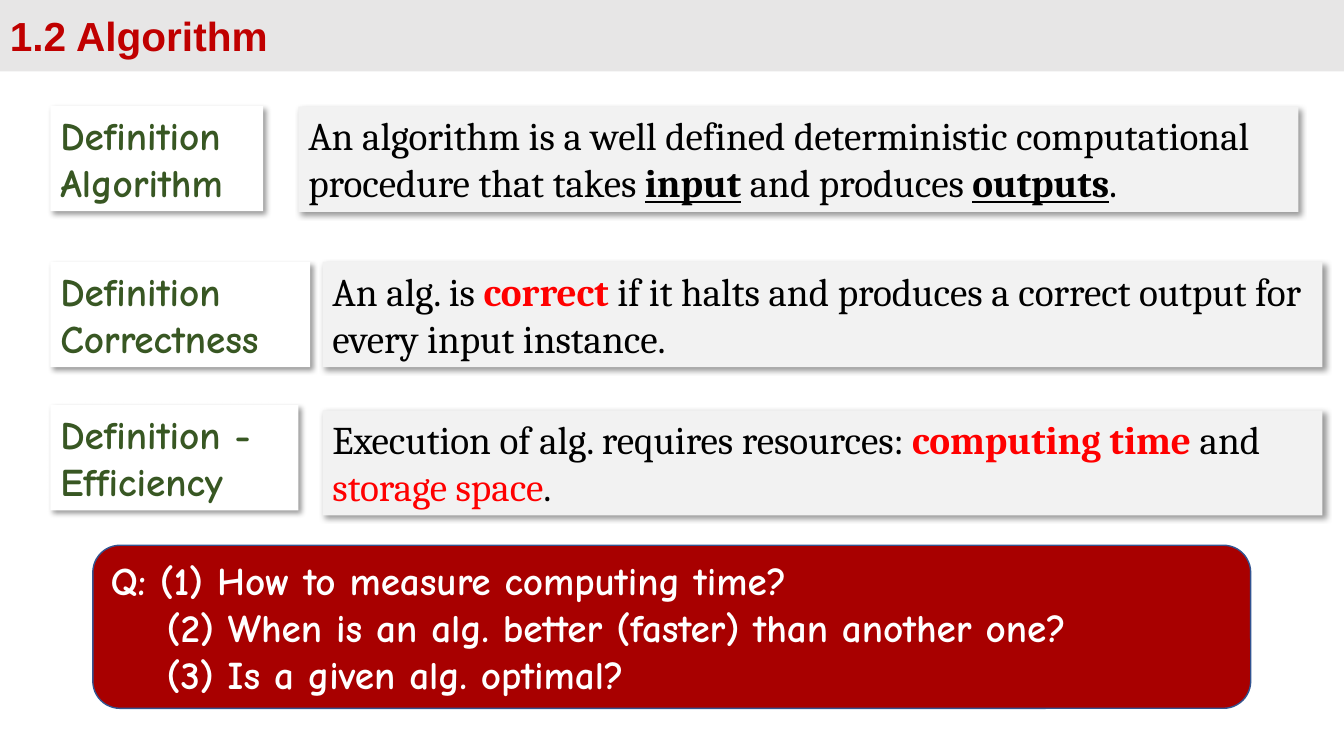
from dataclasses import dataclass

from lxml.etree import SubElement
from pptx import Presentation
from pptx.dml.color import RGBColor
from pptx.enum.shapes import MSO_SHAPE
from pptx.enum.text import MSO_ANCHOR, MSO_AUTO_SIZE, PP_ALIGN
from pptx.oxml.ns import qn
from pptx.shapes.autoshape import Shape
from pptx.slide import Slide
from pptx.util import Cm, Pt


@dataclass(frozen=True)
class Theme:
    banner: str = "E7E6E6"
    heading: str = "C00000"
    paper: str = "FFFFFF"
    panel: str = "F2F2F2"
    term: str = "385723"
    body: str = "000000"
    accent: str = "FF0000"
    question: str = "A80000"
    outline: str = "325491"
    heading_font: str = "Arial"
    term_font: str = "Comic Neue"
    body_font: str = "Cambria"
    heading_size: int = 29
    text_size: int = 28


THEME = Theme()


@dataclass(frozen=True)
class Box:
    left: float
    top: float
    width: float
    height: float


@dataclass(frozen=True)
class Style:
    font: str
    color: str
    size: int = THEME.text_size
    bold: bool = False
    underline: bool = False


HEADING = Style(THEME.heading_font, THEME.heading, THEME.heading_size, bold=True)
TERM = Style(THEME.term_font, THEME.term, bold=True)
QUESTION = Style(THEME.term_font, THEME.paper, bold=True)
BODY = Style(THEME.body_font, THEME.body)
KEYWORD = Style(THEME.body_font, THEME.body, bold=True, underline=True)
ACCENT = Style(THEME.body_font, THEME.accent)
STRONG_ACCENT = Style(THEME.body_font, THEME.accent, bold=True)


@dataclass(frozen=True)
class Span:
    text: str
    style: Style = BODY


@dataclass(frozen=True)
class Line:
    spans: tuple[Span, ...]
    indent: float = 0


@dataclass(frozen=True)
class Definition:
    term_lines: tuple[str, ...]
    term_top: float
    term_width: float
    statement_left: float
    statement_top: float
    statement: tuple[Span, ...]


TERM_LEFT = 1.27
STATEMENT_WIDTH = 25.2
ROW_HEIGHT = 2.65
QUESTION_INDENT = 1.41

DEFINITIONS = (
    Definition(
        ("Definition", "Algorithm"), 2.67, 5.36, 7.52, 2.69,
        (
            Span("An algorithm is a well defined deterministic computational procedure that takes "),
            Span("input", KEYWORD),
            Span(" and produces "),
            Span("outputs", KEYWORD),
            Span("."),
        ),
    ),
    Definition(
        ("Definition Correctness",), 6.6, 6.55, 8.13, 6.6,
        (
            Span("An alg. is "),
            Span("correct ", STRONG_ACCENT),
            Span("if it halts and produces a correct output for every input instance."),
        ),
    ),
    Definition(
        ("Definition -", "Efficiency"), 10.21, 6.25, 8.13, 10.34,
        (
            Span("Execution of alg. requires resources: "),
            Span("computing time ", STRONG_ACCENT),
            Span("and "),
            Span("storage space", ACCENT),
            Span("."),
        ),
    ),
)

QUESTIONS = (
    Line((Span("Q: (1) How to measure computing time?", QUESTION),)),
    Line((Span("(2) When is an alg. better (faster) than another one?", QUESTION),), QUESTION_INDENT),
    Line((Span("(3) Is a given alg. optimal?", QUESTION),), QUESTION_INDENT),
)


def write_lines(shape: Shape, lines: tuple[Line, ...], anchor: MSO_ANCHOR) -> None:
    frame = shape.text_frame
    frame.word_wrap = True
    frame.vertical_anchor = anchor
    for index, line in enumerate(lines):
        paragraph = frame.add_paragraph() if index else frame.paragraphs[0]
        paragraph.alignment = PP_ALIGN.LEFT
        if line.indent:
            paragraph._p.get_or_add_pPr().set("marL", str(int(Cm(line.indent))))
        for span in line.spans:
            run = paragraph.add_run()
            run.text = span.text
            run.font.name = span.style.font
            run.font.size = Pt(span.style.size)
            run.font.bold = span.style.bold
            run.font.underline = span.style.underline
            run.font.color.rgb = RGBColor.from_string(span.style.color)


def add_panel(
    slide: Slide,
    box: Box,
    fill: str,
    lines: tuple[Line, ...],
    anchor: MSO_ANCHOR = MSO_ANCHOR.MIDDLE,
    preset: MSO_SHAPE = MSO_SHAPE.RECTANGLE,
) -> Shape:
    panel = slide.shapes.add_shape(
        preset, Cm(box.left), Cm(box.top), Cm(box.width), Cm(box.height)
    )
    panel.shadow.inherit = False
    panel.fill.solid()
    panel.fill.fore_color.rgb = RGBColor.from_string(fill)
    panel.line.fill.background()
    write_lines(panel, lines, anchor)
    return panel


def add_card(slide: Slide, box: Box, fill: str, lines: tuple[Line, ...]) -> None:
    card = add_panel(slide, box, fill, lines, MSO_ANCHOR.TOP)
    card.text_frame.auto_size = MSO_AUTO_SIZE.SHAPE_TO_FIT_TEXT
    effects = card._element.spPr.find(qn("a:effectLst"))
    shadow = SubElement(
        effects, qn("a:outerShdw"), blurRad=str(int(Pt(4))), dist=str(int(Pt(3))),
        dir=str(45 * 60000), algn="tl", rotWithShape="0",
    )
    color = SubElement(shadow, qn("a:srgbClr"), val=THEME.body)
    SubElement(color, qn("a:alpha"), val="40000")


def add_definition(slide: Slide, item: Definition) -> None:
    term = tuple(Line((Span(text, TERM),)) for text in item.term_lines)
    add_card(slide, Box(TERM_LEFT, item.term_top, item.term_width, ROW_HEIGHT), THEME.paper, term)
    statement_box = Box(item.statement_left, item.statement_top, STATEMENT_WIDTH, ROW_HEIGHT)
    add_card(slide, statement_box, THEME.panel, (Line(item.statement),))


def main() -> None:
    deck = Presentation()
    deck.slide_width, deck.slide_height = Cm(33.87), Cm(19.05)
    slide = deck.slides.add_slide(deck.slide_layouts[6])
    heading = (Line((Span("1.2 Algorithm", HEADING),)),)
    add_panel(slide, Box(0, 0, 33.87, 1.8), THEME.banner, heading)
    for item in DEFINITIONS:
        add_definition(slide, item)
    questions = add_panel(
        slide, Box(2.34, 13.74, 29.18, 4.11), THEME.question, QUESTIONS,
        preset=MSO_SHAPE.ROUNDED_RECTANGLE,
    )
    questions.line.color.rgb = RGBColor.from_string(THEME.outline)
    questions.line.width = Pt(1)
    deck.save("out.pptx")


if __name__ == "__main__":
    main()
